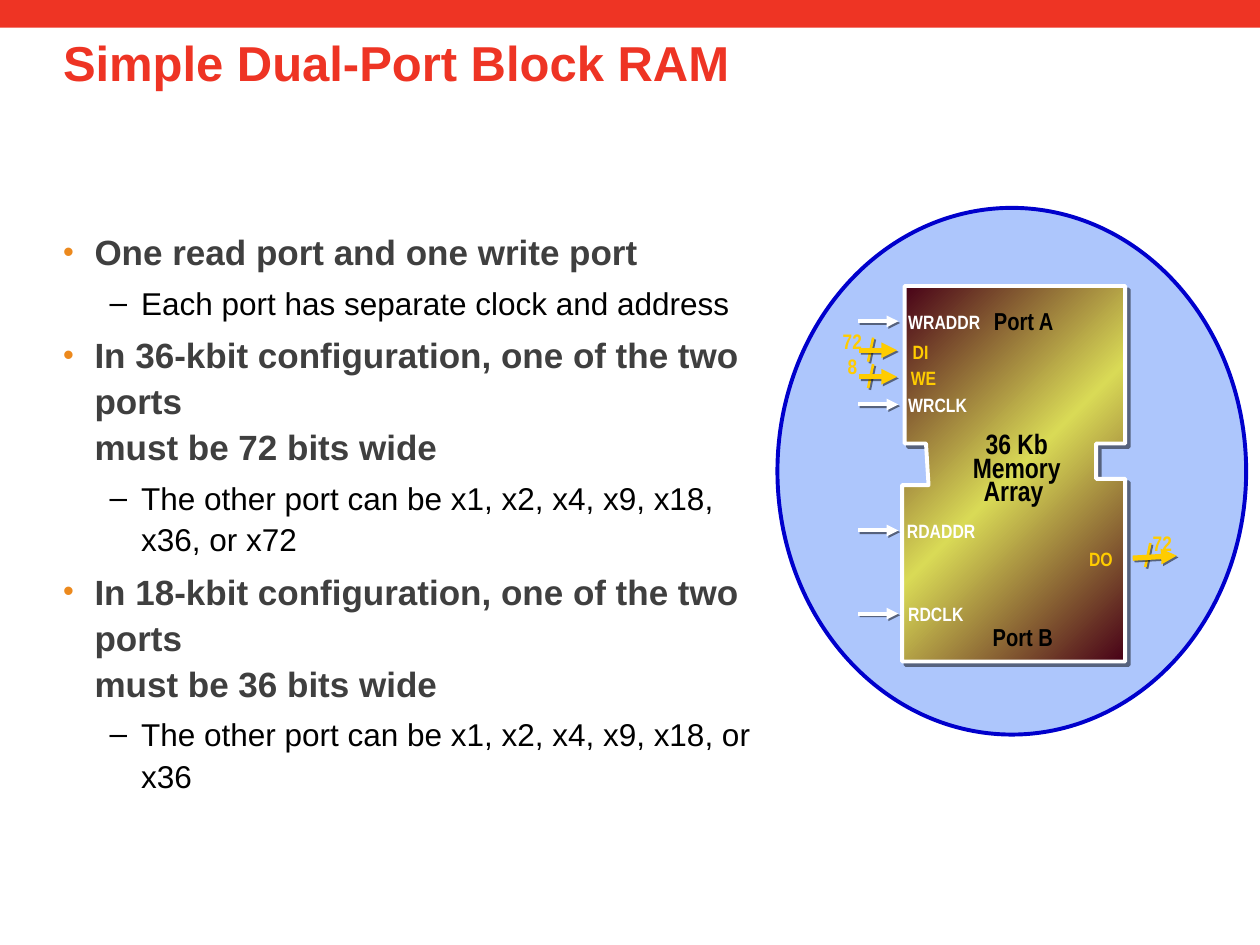
from lxml import etree
from pptx import Presentation
from pptx.dml.color import RGBColor
from pptx.enum.shapes import MSO_CONNECTOR as CONNECTOR, MSO_SHAPE as SHAPE
from pptx.enum.text import MSO_ANCHOR as ANCHOR, PP_ALIGN as ALIGN
from pptx.oxml.ns import qn
from pptx.util import Inches, Pt

COLORS = {
    "red": "EE3424", "heading": "3F3F3F", "black": "000000", "bullet": "EC891D",
    "white": "FFFFFF", "yellow": "FFCC00", "oval": "5C8EFB", "outline": "0000CC",
    "dark": "470017", "lime": "D9DA56",
}
LEVELS = [
    {"font": {"size": Pt(20), "bold": True}, "color": "heading", "margin": 0.25,
     "mark": "•", "mark_color": "bullet", "mark_size": 88, "before": Pt(4.5)},
    {"font": {"size": Pt(18), "bold": False}, "color": "black", "margin": 0.62,
     "mark": "–", "mark_color": "black", "mark_size": 100, "before": Pt(4)},
]
POINTS = [
    (0, "One read port and one write port"),
    (1, "Each port has separate clock and address"),
    (0, "In 36-kbit configuration, one of the two ports \nmust be 72 bits wide"),
    (1, "The other port can be x1, x2, x4, x9, x18,\nx36, or x72"),
    (0, "In 18-kbit configuration, one of the two ports\nmust be 36 bits wide"),
    (1, "The other port can be x1, x2, x4, x9, x18, or x36"),
]
CHIP = [
    (7.37, 3.85), (7.16, 3.85), (7.16, 5.25), (8.93, 5.25), (8.93, 3.8), (8.7, 3.8),
    (8.7, 3.52), (8.93, 3.52), (8.93, 2.27), (7.18, 2.27), (7.18, 3.52), (7.35, 3.52),
]
# text, left, top, width, height, size, colour
SIGNALS = [
    ("72", 6.59, 2.56, 0.57, 0.3, 12, "yellow"),
    (" DI", 7.11, 2.65, 1.21, 0.28, 11, "yellow"),
    ("WRADDR", 7.11, 2.41, 0.87, 0.28, 11, "white"),
    ("WRCLK", 7.11, 3.07, 0.87, 0.28, 11, "white"),
    ("WE", 7.13, 2.86, 1.21, 0.28, 11, "yellow"),
    ("8", 6.63, 2.76, 0.57, 0.3, 12, "yellow"),
    ("RDADDR", 7.1, 4.07, 0.87, 0.28, 11, "white"),
    ("72", 9.05, 4.16, 0.68, 0.3, 12, "yellow"),
    (" DO", 8.51, 4.29, 0.75, 0.28, 11, "yellow"),
    ("RDCLK", 7.11, 4.73, 0.87, 0.28, 11, "white"),
]
WIRES = [2.55, 3.21, 4.21, 4.87]
# arrow tip, arrow end, top of the slash
BUSES = [
    ((7.12, 2.78), (6.82, 2.78), (6.93, 2.68)),
    ((7.12, 2.99), (6.82, 2.99), (6.93, 2.89)),
    ((9.34, 4.41), (8.99, 4.43), (9.13, 4.31)),
]


def rgb(name):
    return RGBColor.from_string(COLORS[name])


def add_color(parent, name, alpha=None):
    color = etree.SubElement(parent, qn("a:srgbClr"), val=COLORS[name])
    if alpha:
        etree.SubElement(color, qn("a:alpha"), val=str(alpha * 1000))


def add_shadow(parent, distance, color="black", alpha=50):
    """Put an offset shadow on shape properties or run properties."""
    effects = parent.find(qn("a:effectLst"))
    if effects is None:
        effects = etree.SubElement(parent, qn("a:effectLst"))
    shadow = etree.SubElement(effects, qn("a:outerShdw"), blurRad="0",
                              dist=str(Pt(distance)), dir=str(45 * 60000))
    add_color(shadow, color, alpha)


def set_line(shape, color, width):
    shape.line.color.rgb = rgb(color)
    shape.line.width = Pt(width)


def format_runs(para, color, formats):
    for run in para.runs:
        run.font.color.rgb = rgb(color)
        for name, value in formats.items():
            setattr(run.font, name, value)


def set_frame(frame, **formats):
    frame.word_wrap = True
    for name, value in formats.items():
        setattr(frame, name, value)


def add_shape(page, kind, box, color):
    shape = page.shapes.add_shape(kind, *map(Inches, box))
    shape.shadow.inherit = False
    shape.fill.solid()
    shape.fill.fore_color.rgb = rgb(color)
    shape.line.fill.background()
    return shape


def add_title(page, text):
    title = page.shapes.title
    title.left, title.top, title.width, title.height = map(Inches, (0.5, 0.23, 9, 1.25))
    set_frame(title.text_frame, margin_left=0, vertical_anchor=ANCHOR.TOP)
    para = title.text_frame.paragraphs[0]
    para.text, para.alignment, para.line_spacing = text, ALIGN.LEFT, 0.98
    format_runs(para, "red", {"name": "Arial", "size": Pt(28), "bold": True})


def add_bullet(para, level):
    props = para._p.get_or_add_pPr()
    props.set("marL", str(Inches(level["margin"])))
    props.set("indent", str(Inches(-0.25)))
    add_color(etree.SubElement(props, qn("a:buClr")), level["mark_color"])
    etree.SubElement(props, qn("a:buSzPct"), val=str(level["mark_size"] * 1000))
    etree.SubElement(props, qn("a:buFont"), typeface="Arial")
    etree.SubElement(props, qn("a:buChar"), char=level["mark"])


def add_points(page):
    frame = page.shapes.add_textbox(*map(Inches, (0.5, 1.75, 5.59, 5.26))).text_frame
    set_frame(frame, margin_left=0)
    for index, (depth, text) in enumerate(POINTS):
        para = frame.add_paragraph() if index else frame.paragraphs[0]
        level = LEVELS[depth]
        para.text, para.level = text, depth
        para.line_spacing, para.space_before = 1.1, level["before"]
        add_bullet(para, level)
        format_runs(para, level["color"], {"name": "Arial", **level["font"]})


def add_label(page, text, left, top, width, height, size, color):
    box = page.shapes.add_textbox(*map(Inches, (left, top, width, height)))
    set_frame(box.text_frame)
    para = box.text_frame.paragraphs[0]
    para.text = text
    format_runs(para, color, {"size": Pt(size), "bold": True})
    for run in para.runs:
        if color != "black":
            add_shadow(run._r.get_or_add_rPr(), 1.4, "dark", 100)
        run.font.name = "Arial Narrow"
    return box


def add_outline(page, points, close):
    corners = [(Inches(x), Inches(y)) for x, y in points]
    builder = page.shapes.build_freeform(*corners[0])
    builder.add_line_segments(corners[1:], close=close)
    shape = builder.convert_to_shape()
    shape.shadow.inherit = False
    return shape


def add_chip(page):
    chip = add_outline(page, CHIP, True)
    chip.fill.gradient()
    gradient = chip.element.spPr.find(qn("a:gradFill"))
    gradient.clear()
    stops = etree.SubElement(gradient, qn("a:gsLst"))
    for position, color in ((0, "dark"), (50, "lime"), (100, "dark")):
        add_color(etree.SubElement(stops, qn("a:gs"), pos=str(position * 1000)), color)
    etree.SubElement(gradient, qn("a:lin"), ang=str(45 * 60000), scaled="0")
    set_line(chip, "white", 2.25)
    add_shadow(chip.element.spPr, 2.8)


def add_arrow(page, tip, end, color, width):
    arrow = page.shapes.add_connector(CONNECTOR.STRAIGHT, *map(Inches, (*tip, *end)))
    set_line(arrow, color, width)
    etree.SubElement(arrow.line._get_or_add_ln(), qn("a:headEnd"), type="triangle")
    add_shadow(arrow.element.spPr, 1.4)


def add_bus(page, tip, end, slash_top):
    x, y = slash_top
    slash = add_outline(page, [(x, y), (x - 0.04, y + 0.19)], False)
    slash.fill.background()
    set_line(slash, "yellow", 1.5)
    add_shadow(slash.element.spPr, 1.4)
    add_arrow(page, tip, end, "yellow", 3)


def main():
    deck = Presentation()
    deck.slide_width, deck.slide_height = Inches(10), Inches(7.5)
    page = deck.slides.add_slide(deck.slide_layouts[5])
    add_shape(page, SHAPE.RECTANGLE, (0, 0, 10, 0.22), "red")
    add_title(page, "Simple Dual-Port Block RAM")
    add_points(page)

    oval = add_shape(page, SHAPE.OVAL, (6.17, 1.65, 3.72, 4.18), "oval")
    fill_color = oval.element.spPr.find(qn("a:solidFill"))[0]
    etree.SubElement(fill_color, qn("a:alpha"), val="50000")
    set_line(oval, "outline", 2.25)
    add_chip(page)

    for y in WIRES:
        add_arrow(page, (7.13, y), (6.81, y), "white", 2.25)
    for bus in BUSES:
        add_bus(page, *bus)
    for signal in SIGNALS:
        add_label(page, *signal)
    add_label(page, "Port A", 7.79, 2.38, 0.8, 0.57, 14, "black")
    add_label(page, "Port B", 7.78, 4.89, 0.8, 0.57, 14, "black")
    core = add_label(page, "36 Kb\nMemory\nArray ", 7.39, 3.41, 1.36, 0.66, 16, "black")
    core.text_frame.vertical_anchor = ANCHOR.MIDDLE
    para = core.text_frame.paragraphs[0]
    para.alignment, para.line_spacing = ALIGN.CENTER, 0.7
    deck.save("out.pptx")


if __name__ == "__main__":
    main()
